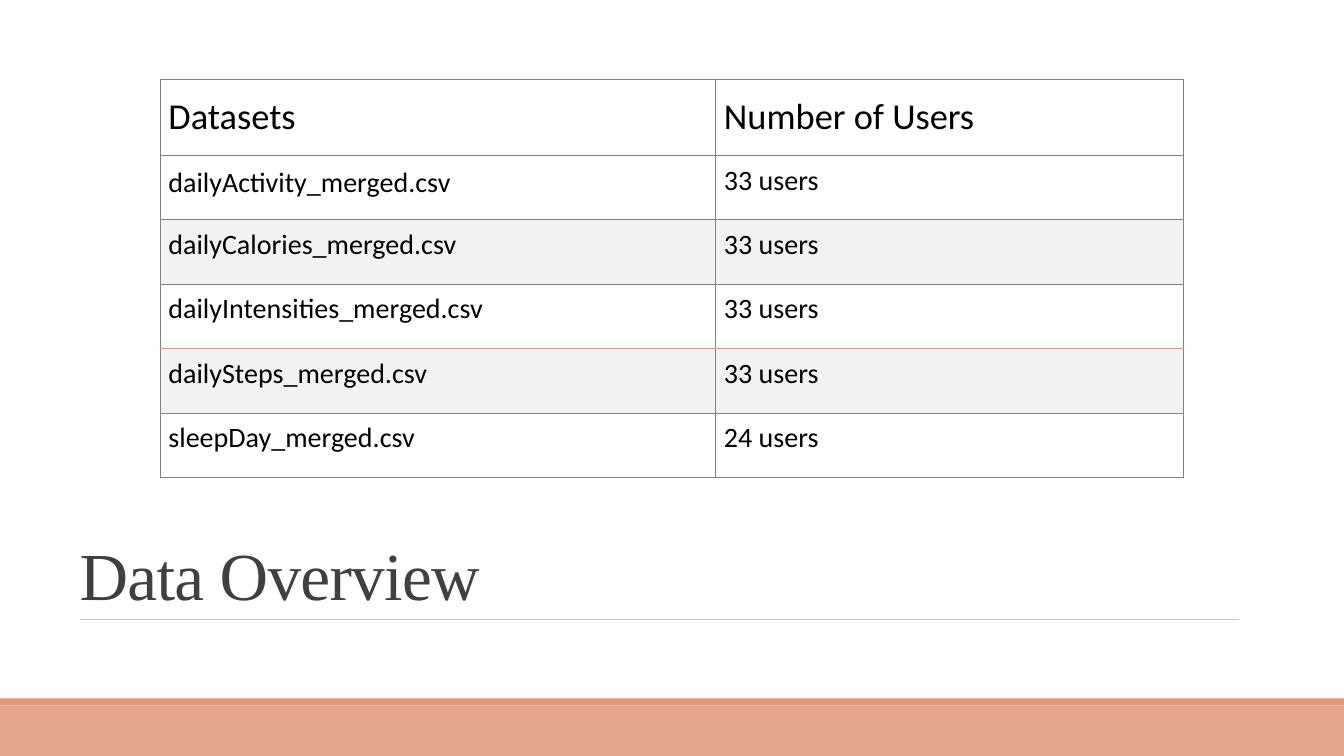
from dataclasses import dataclass

from lxml.etree import SubElement
from pptx import Presentation
from pptx.dml.color import RGBColor
from pptx.enum.shapes import MSO_CONNECTOR as Connector, MSO_SHAPE as Shape
from pptx.enum.text import MSO_ANCHOR as Anchor, MSO_AUTO_SIZE as AutoSize, PP_ALIGN as Align
from pptx.oxml.ns import qn
from pptx.util import Inches, Pt


@dataclass(frozen=True)
class Theme:
    """Colours, fonts and type sizes of the slide."""
    title_color: str = "404040"
    text_color: str = "000000"
    accent: str = "E29779"
    footer: str = "E6A48A"
    rule: str = "C8C8C8"
    border: str = "808080"
    band: str = "F2F2F2"
    plain: str = "FFFFFF"
    title_font: str = "Times New Roman"
    body_font: str = "Calibri"
    title_size: int = 48
    header_size: int = 26
    body_size: int = 20


THEME = Theme()
DATASETS = [
    ("Datasets", "Number of Users"),
    ("dailyActivity_merged.csv", "33 users"),
    ("dailyCalories_merged.csv", "33 users"),
    ("dailyIntensities_merged.csv", "33 users"),
    ("dailySteps_merged.csv", "33 users"),
    ("sleepDay_merged.csv", "24 users"),
]
COLUMN_WIDTHS = (5.51, 4.64)
HEADER_HEIGHT, ROW_HEIGHT = 0.75, 0.64
ACCENT_BOUNDARY = 4


def set_font(paragraph, name, size, color):
    """Format all the text of a paragraph."""
    paragraph.font.name = name
    paragraph.font.size = Pt(size)
    paragraph.font.color.rgb = RGBColor.from_string(color)


def add_title(slide, text):
    """Fill and place the title placeholder."""
    title = slide.shapes.title
    title.left, title.top = Inches(0.69), Inches(4.98)
    title.width, title.height = Inches(11.93), Inches(1.16)
    frame = title.text_frame
    frame.text = text
    frame.auto_size = AutoSize.NONE
    frame.vertical_anchor = Anchor.BOTTOM
    paragraph = frame.paragraphs[0]
    paragraph.alignment = Align.LEFT
    paragraph.line_spacing = 0.85
    set_font(paragraph, THEME.title_font, THEME.title_size, THEME.title_color)
    paragraph.runs[0].font._element.set("spc", "-50")


def add_rule(slide, left, right, top):
    """Draw a thin horizontal line."""
    rule = slide.shapes.add_connector(
        Connector.STRAIGHT, Inches(left), Inches(top), Inches(right), Inches(top))
    rule.line.color.rgb = RGBColor.from_string(THEME.rule)
    rule.line.width = Pt(0.5)
    SubElement(rule._element.spPr, qn("a:effectLst"))


def add_strip(slide, top, height, color):
    """Draw a full-width strip."""
    strip = slide.shapes.add_shape(
        Shape.RECTANGLE, 0, Inches(top), Inches(13.33), Inches(height))
    strip.shadow.inherit = False
    strip.fill.solid()
    strip.fill.fore_color.rgb = RGBColor.from_string(color)
    strip.line.fill.background()


def set_borders(cell, top, bottom):
    """Outline a cell, with its own colours above and below."""
    properties = cell._tc.get_or_add_tcPr()
    sides = {"lnL": THEME.border, "lnR": THEME.border, "lnT": top, "lnB": bottom}
    for position, (side, color) in enumerate(sides.items()):
        line = SubElement(properties, qn(f"a:{side}"), w=str(Pt(1)))
        properties.insert(position, line)
        fill = SubElement(line, qn("a:solidFill"))
        SubElement(fill, qn("a:srgbClr"), val=color)


def boundary_color(boundary):
    """Return the colour of the line above the given row."""
    return THEME.accent if boundary == ACCENT_BOUNDARY else THEME.border


def format_cell(cell, text, row):
    """Write and style one table cell."""
    header = row == 0
    cell.text = text
    cell.margin_left = cell.margin_right = cell.margin_top = Inches(0.08)
    cell.margin_bottom = Inches(0.16)
    cell.vertical_anchor = Anchor.BOTTOM if header else Anchor.TOP
    set_font(cell.text_frame.paragraphs[0], THEME.body_font,
             THEME.header_size if header else THEME.body_size, THEME.text_color)
    banded = row > 0 and row % 2 == 0
    cell.fill.solid()
    cell.fill.fore_color.rgb = RGBColor.from_string(THEME.band if banded else THEME.plain)
    set_borders(cell, boundary_color(row), boundary_color(row + 1))


def add_dataset_table(slide):
    """Add the table of datasets and their user counts."""
    heights = [HEADER_HEIGHT] + [ROW_HEIGHT] * (len(DATASETS) - 1)
    table = slide.shapes.add_table(
        len(DATASETS), len(COLUMN_WIDTHS), Inches(1.59), Inches(0.79),
        Inches(sum(COLUMN_WIDTHS)), Inches(sum(heights))).table
    for column, width in zip(table.columns, COLUMN_WIDTHS):
        column.width = Inches(width)
    for row, (height, values) in enumerate(zip(heights, DATASETS)):
        table.rows[row].height = Inches(height)
        for column, text in enumerate(values):
            format_cell(table.cell(row, column), text, row)
    table.cell(1, 0).text_frame.paragraphs[0].line_spacing = 1.07


def main():
    """Build and save the slide."""
    presentation = Presentation()
    presentation.slide_width, presentation.slide_height = Inches(13.33), Inches(7.5)
    slide = presentation.slides.add_slide(presentation.slide_layouts[5])
    add_title(slide, "Data Overview")
    add_rule(slide, 0.79, 12.29, 6.14)
    add_strip(slide, 6.93, 0.07, THEME.accent)
    add_strip(slide, 7, 0.5, THEME.footer)
    add_dataset_table(slide)
    presentation.save("out.pptx")


if __name__ == "__main__":
    main()
